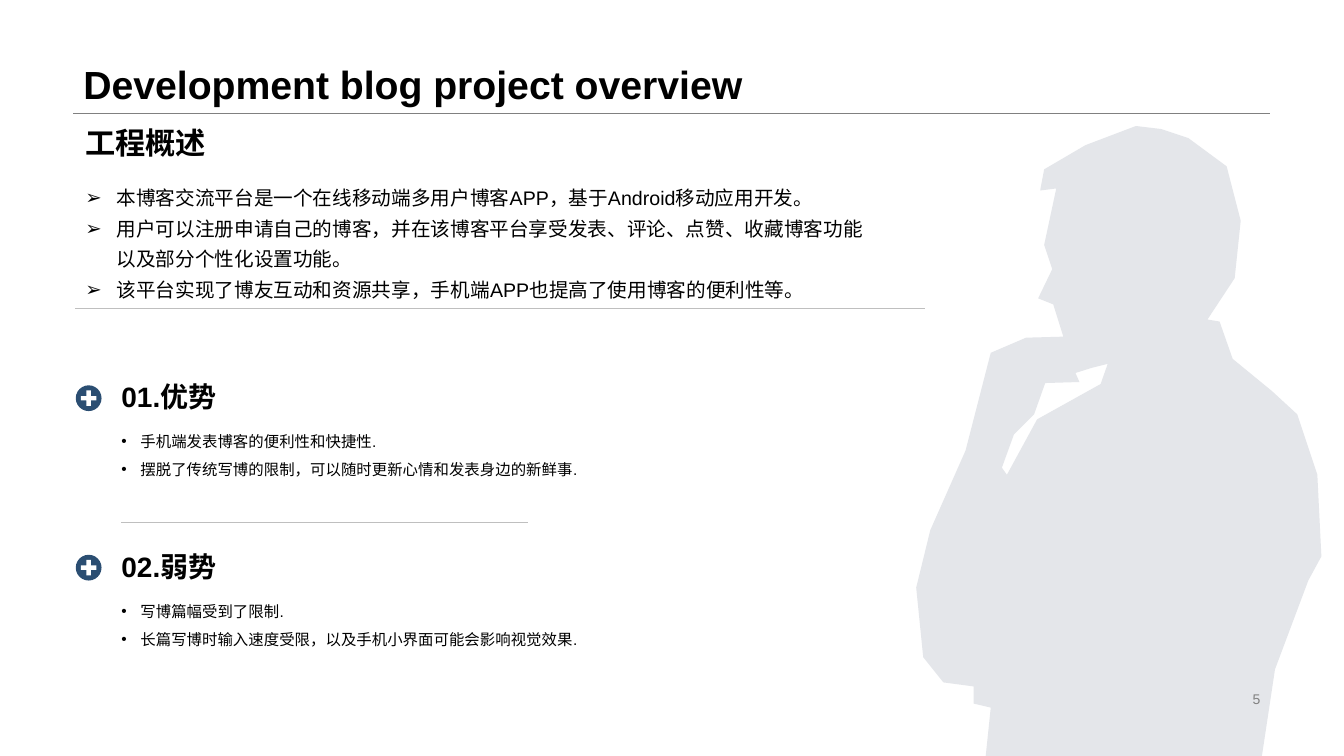
from lxml.etree import SubElement
from pptx import Presentation
from pptx.dml.color import RGBColor
from pptx.enum.shapes import MSO_CONNECTOR as LINK, MSO_SHAPE as SHAPE
from pptx.enum.text import MSO_ANCHOR as ANCHOR, PP_ALIGN as ALIGN
from pptx.oxml.ns import qn
from pptx.util import Cm, Pt

color = RGBColor.from_string


def add_text(box, lines, size, hue="000000", bold=False, spacing=1.0,
             anchor=ANCHOR.TOP, align=ALIGN.LEFT, bullet=None, indent=0):
    frame = slide.shapes.add_textbox(*map(Cm, box)).text_frame
    frame.word_wrap = True
    frame.vertical_anchor = anchor
    for i, line in enumerate(lines):
        para = frame.add_paragraph() if i else frame.paragraphs[0]
        para.text = line
        if bullet:
            props = para._p.get_or_add_pPr()
            props.set("marL", str(Cm(indent)))
            props.set("indent", str(-Cm(indent)))
            SubElement(props, qn("a:buFont")).set("typeface", "Arial")
            SubElement(props, qn("a:buChar")).set("char", bullet)
        para.line_spacing = spacing
        para.alignment = align
        for key, value in {"name": "Arial", "size": Pt(size), "bold": bold}.items():
            setattr(para.font, key, value)
        para.font.color.rgb = color(hue)


def paint(shape, hue):
    shape.shadow.inherit = False
    shape.fill.solid()
    shape.fill.fore_color.rgb = color(hue)
    shape.line.fill.background()


deck = Presentation()
deck.slide_width, deck.slide_height = Cm(33.87), Cm(19.05)
slide = deck.slides.add_slide(deck.slide_layouts[6])

# Thinking figure, outlined in hundredths of an inch
body = [
    (966, 681), (966, 698), (983, 702), (978, 750), (1252, 750), (1265, 664),
    (1298, 576), (1311, 552), (1307, 471), (1287, 411), (1262, 388), (1223, 356),
    (1210, 319), (1198, 317), (1225, 276), (1231, 219), (1217, 165), (1179, 137),
    (1152, 128), (1127, 125), (1077, 144), (1036, 168), (1032, 189), (1048, 187),
    (1036, 243), (1044, 267), (1030, 296), (1045, 302), (1055, 334), (1018, 335),
    (983, 350), (958, 447), (923, 526), (909, 583), (916, 652), (936, 677)]
arm_gap = [
    (1006, 431), (1026, 411), (1037, 380), (1071, 379), (1067, 370), (1083, 365),
    (1099, 361), (1092, 381), (1029, 416), (999, 471), (994, 464)]
figure = slide.shapes.build_freeform(*body[0], scale=Cm(2.54) / 100)
figure.add_line_segments(body[1:])
figure.move_to(*arm_gap[0])
figure.add_line_segments(arm_gap[1:])
paint(figure.convert_to_shape(), "E4E6EA")

# Rules: left, right, height on the slide, colour
for left, right, y, hue in ((1.85, 32, 2.84, "808080"),
                            (1.9, 23.32, 7.77, "BFBFBF"),
                            (3.05, 13.31, 13.16, "BFBFBF")):
    rule = slide.shapes.add_connector(LINK.STRAIGHT, Cm(left), Cm(y), Cm(right), Cm(y))
    rule.line.color.rgb = color(hue)
    rule.line.width = Pt(0.25)
    SubElement(rule._element.spPr, qn("a:effectLst"))

# Title and overview
add_text((1.85, 0, 30.15, 2.84), ["Development blog project overview"], 28,
         bold=True, spacing=0.9, anchor=ANCHOR.BOTTOM)
add_text((1.9, 3.18, 20.52, 1.22), ["工程概述"], 21.6, bold=True, spacing=0.8)
overview = [
    "本博客交流平台是一个在线移动端多用户博客APP，基于Android移动应用开发。",
    "用户可以注册申请自己的博客，并在该博客平台享受发表、评论、点赞、收藏博客功能以及部分个性化设置功能。",
    "该平台实现了博友互动和资源共享，手机端APP也提高了使用博客的便利性等。"]
add_text((1.9, 4.39, 20.52, 3.38), overview, 14, spacing=1.3, bullet="➢", indent=0.79)

# Strengths and weaknesses, each with a plus badge
sections = [
    ("01.优势", ["手机端发表博客的便利性和快捷性.",
               "摆脱了传统写博的限制，可以随时更新心情和发表身边的新鲜事."]),
    ("02.弱势", ["写博篇幅受到了限制.",
               "长篇写博时输入速度受限，以及手机小界面可能会影响视觉效果."])]
for i, (heading, remarks) in enumerate(sections):
    top = 9.32 + 4.27 * i
    badge = slide.shapes.add_shape(SHAPE.OVAL, Cm(1.91), Cm(top + 0.39), Cm(0.65), Cm(0.65))
    paint(badge, "2B4E72")
    plus = slide.shapes.add_shape(SHAPE.CROSS, Cm(2.04), Cm(top + 0.52), Cm(0.39), Cm(0.39))
    plus.adjustments[0] = 0.36
    paint(plus, "FFFFFF")
    add_text((2.81, top, 19.63, 1.22), [heading], 20, bold=True, anchor=ANCHOR.BOTTOM)
    add_text((2.81, top + 1.22, 19.63, 2.26), remarks, 11, spacing=1.5,
             bullet="•", indent=0.48)

# Page number
add_text((23.93, 17.32, 8.08, 0.58), ["5"], 10, hue="808080",
         anchor=ANCHOR.MIDDLE, align=ALIGN.RIGHT)

deck.save("out.pptx")
